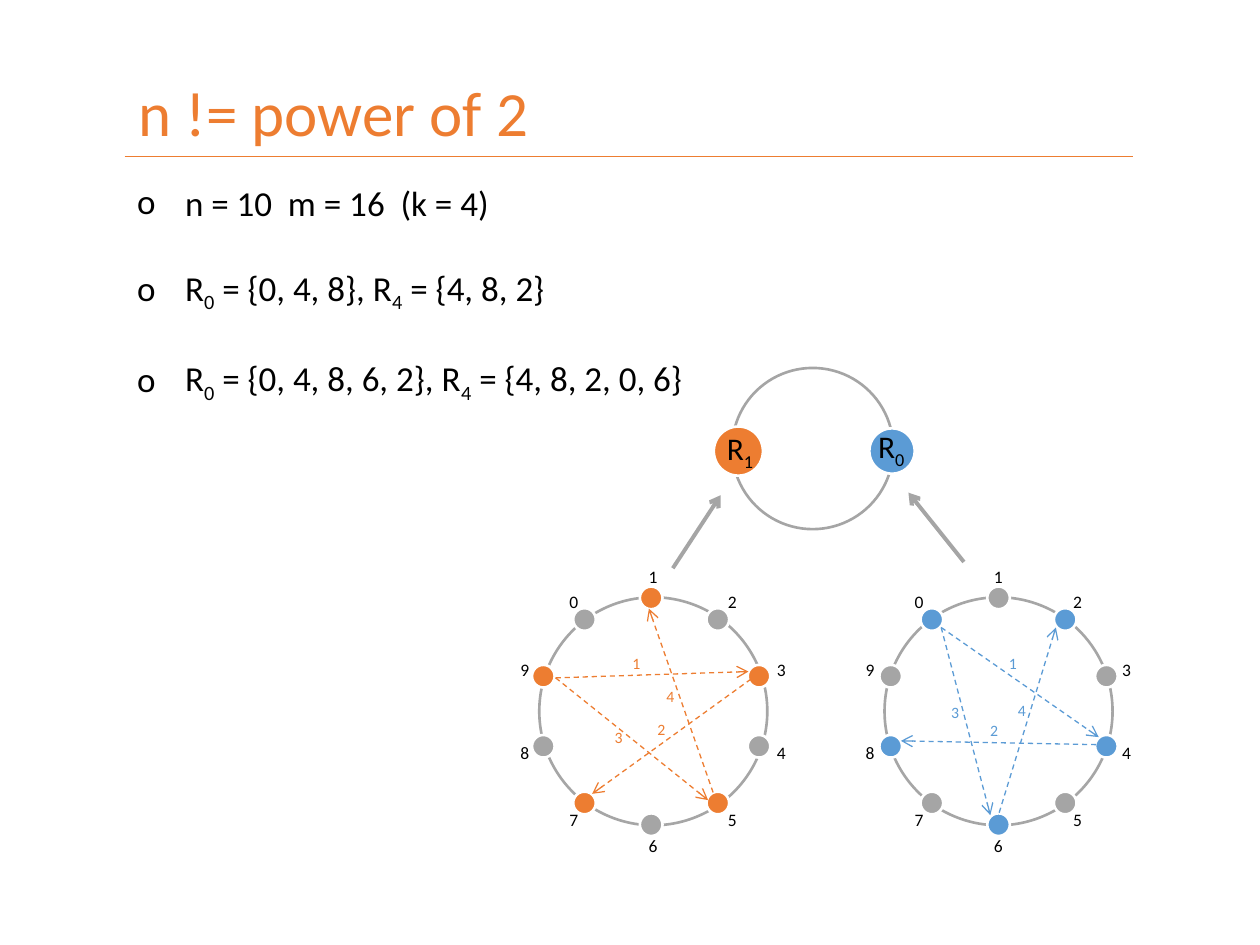
"""Build a slide on rings whose size is not a power of two."""
from dataclasses import dataclass
from math import cos, radians, sin

from lxml import etree
from pptx import Presentation
from pptx import util as u
from pptx.dml.color import RGBColor
from pptx.enum import dml, shapes, text
from pptx.oxml.ns import qn

ORANGE = RGBColor(0xED, 0x7D, 0x31)
BLUE = RGBColor(0x5B, 0x9B, 0xD5)
GREY = RGBColor(0xA5, 0xA5, 0xA5)
RING_GREY = RGBColor(0xA6, 0xA6, 0xA6)
WHITE = RGBColor(0xFF, 0xFF, 0xFF)
BLACK = RGBColor(0, 0, 0)

FONT = "Calibri"
WIDTH, HEIGHT = u.Inches(10), u.Inches(7.5)
COLUMNS, ROWS = 100, 75
NODES = 10
RING_RADIUS, NODE_RADIUS, LABEL_RADIUS = 9.05, 9, 10.7
NODE_SIZE, LABEL_SIZE = 1.8, 2.7


@dataclass(frozen=True)
class Chord:
    """A numbered step between two nodes, in grid units."""
    start: tuple[float, float]
    end: tuple[float, float]
    step: str
    step_at: tuple[float, float]


@dataclass(frozen=True)
class Ring:
    """A ring of nodes, of which the members of one set are coloured."""
    center: tuple[float, float]
    node_shift: float
    members: frozenset[int]
    color: RGBColor
    chords: tuple[Chord, ...]


@dataclass(frozen=True)
class Root:
    """A node on the upper ring, with its name."""
    center: tuple[float, float]
    size: float
    color: RGBColor
    name: str
    name_at: tuple[float, float]


RINGS = (
    Ring((51.85, 56.45), -0.17, frozenset({1, 3, 5, 7, 9}), ORANGE, (
        Chord((44.1, 53.8), (59.4, 53.3), "1", (49.2, 51.4)),
        Chord((59.6, 53.9), (47, 63), "2", (51.2, 56.6)),
        Chord((44.1, 53.8), (56.2, 63.5), "3", (47.8, 57.3)),
        Chord((56.6, 62.9), (51.5, 48.3), "4", (51.9, 54)),
    )),
    Ring((79.25, 56.45), 0, frozenset({0, 2, 4, 6, 8}), BLUE, (
        Chord((74.7, 49.8), (87.2, 58.5), "1", (79.1, 51.4)),
        Chord((87, 59.1), (71.5, 58.8), "2", (77.6, 56.7)),
        Chord((74.7, 49.8), (78.6, 64.7), "3", (74.5, 55.3)),
        Chord((79.3, 64.5), (83.8, 49.8), "4", (79.8, 55.1)),
    )),
)
ROOTS = (
    Root((58.6, 35.8), 3.9, ORANGE, "R_1", (56.7, 33.6)),
    Root((70.8, 35.8), 3.6, BLUE, "R_0", (68.7, 33.4)),
)
LINKS = (((53.4, 45.1), (57.2, 39.3)), ((76.5, 44.6), (72.1, 39.1)))
FACTS = (
    "n = 10  m = 16  (k = 4)",
    "R_0 = {0, 4, 8}, R_4 = {4, 8, 2}",
    "R_0 = {0, 4, 8, 6, 2}, R_4 = {4, 8, 2, 0, 6}",
)


def col(count: float) -> int:
    """Return the length of a number of grid columns."""
    return round(WIDTH * count / COLUMNS)


def row(count: float) -> int:
    """Return the length of a number of grid rows."""
    return round(HEIGHT * count / ROWS)


def add_run(paragraph, words: str, size: float, color: RGBColor, subscript: bool = False) -> None:
    """Append one formatted run to a paragraph."""
    run = paragraph.add_run()
    run.text = words
    run.font.name, run.font.size = FONT, u.Pt(size)
    run.font.color.rgb = color
    if subscript:
        run.font._element.set("baseline", "-25000")


def add_bullet(paragraph, mark: str, indent: int) -> None:
    """Give a paragraph a hanging bullet."""
    properties = paragraph._p.get_or_add_pPr()
    properties.set("marL", str(indent))
    properties.set("indent", str(-indent))
    etree.SubElement(properties, qn("a:buFont")).set("typeface", FONT)
    etree.SubElement(properties, qn("a:buChar")).set("char", mark)


def add_text(slide, lines: tuple[str, ...], at: tuple[float, float], extent: tuple[float, float], *,
             size: float, color: RGBColor = BLACK, wrap: bool = True, bullet: str = "",
             gap: float = 0, spacing: float = 1) -> None:
    """Add a text box, in which an underscore lowers the next character."""
    frame = slide.shapes.add_textbox(col(at[0]), row(at[1]), col(extent[0]), row(extent[1])).text_frame
    frame.word_wrap = wrap
    frame.vertical_anchor = text.MSO_ANCHOR.TOP
    for index, line in enumerate(lines):
        paragraph = frame.add_paragraph() if index else frame.paragraphs[0]
        paragraph.line_spacing = spacing
        if index:
            paragraph.space_before = u.Pt(gap)
        if bullet:
            add_bullet(paragraph, bullet, col(3.8))
        first, *rest = line.split("_")
        add_run(paragraph, first, size, color)
        for part in rest:
            add_run(paragraph, part[0], size, color, subscript=True)
            if part[1:]:
                add_run(paragraph, part[1:], size, color)


def add_circle(slide, center: tuple[float, float], size: float, fill: RGBColor, line: RGBColor) -> None:
    """Add a filled circle around a point."""
    circle = slide.shapes.add_shape(shapes.MSO_SHAPE.OVAL, col(center[0] - size / 2),
                                    row(center[1] - size / 2), col(size), row(size))
    circle.shadow.inherit = False
    circle.fill.solid()
    circle.fill.fore_color.rgb = fill
    circle.line.color.rgb = line
    circle.line.width = u.Pt(1.5)


def add_line(slide, start: tuple[float, float], end: tuple[float, float], color: RGBColor,
             width: float, *, dashed: bool = False, arrow: bool = True) -> None:
    """Add a straight line, with an open arrowhead at its end if wanted."""
    line = slide.shapes.add_connector(shapes.MSO_CONNECTOR.STRAIGHT, col(start[0]), row(start[1]),
                                      col(end[0]), row(end[1]))
    line.line.color.rgb = color
    line.line.width = u.Pt(width)
    if dashed:
        line.line.dash_style = dml.MSO_LINE.DASH
    properties = line._element.spPr
    if arrow:
        etree.SubElement(properties.find(qn("a:ln")), qn("a:tailEnd")).set("type", "arrow")
    etree.SubElement(properties, qn("a:effectLst"))


def around(center: tuple[float, float], radius: float, node: int) -> tuple[float, float]:
    """Return the place of a node, counted clockwise with node 1 on top."""
    angle = radians(360 / NODES * (node - 1))
    return center[0] + radius * sin(angle), center[1] - radius * cos(angle)


def draw_ring(slide, ring: Ring) -> None:
    """Draw a ring with its nodes, labels and chords."""
    add_circle(slide, ring.center, 2 * RING_RADIUS, WHITE, RING_GREY)
    node_center = ring.center[0] + ring.node_shift, ring.center[1]
    for node in range(NODES):
        fill = ring.color if node in ring.members else GREY
        add_circle(slide, around(node_center, NODE_RADIUS, node), NODE_SIZE, fill, WHITE)
        x, y = around(ring.center, LABEL_RADIUS, node)
        add_text(slide, (str(node),), (x - LABEL_SIZE / 2, y - LABEL_SIZE / 2),
                 (LABEL_SIZE, LABEL_SIZE), size=10, wrap=False)
    for chord in ring.chords:
        add_line(slide, chord.start, chord.end, ring.color, 0.75, dashed=True)
        add_text(slide, (chord.step,), chord.step_at, (2.7, 2.5), size=9, color=ring.color, wrap=False)


def main() -> None:
    """Build and save the slide."""
    deck = Presentation()
    deck.slide_width, deck.slide_height = WIDTH, HEIGHT
    slide = deck.slides.add_slide(deck.slide_layouts[6])
    add_line(slide, (9.9, 12.4), (89.9, 12.4), ORANGE, 0.5, arrow=False)
    add_text(slide, ("n != power of 2",), (10, 6), (79, 8.1), size=36, color=ORANGE, spacing=0.9)
    add_circle(slide, (64.5, 35.6), 12.8, WHITE, GREY)
    for root in ROOTS:
        add_circle(slide, root.center, root.size, root.color, WHITE)
        add_text(slide, (root.name,), root.name_at, (5.2, 4), size=18)
    for ring in RINGS:
        draw_ring(slide, ring)
    add_text(slide, FACTS, (9.9, 13.9), (49.1, 17.8), size=20, bullet="o", gap=24.4)
    for start, end in LINKS:
        add_line(slide, start, end, GREY, 2.25)
    deck.save("out.pptx")


if __name__ == "__main__":
    main()
